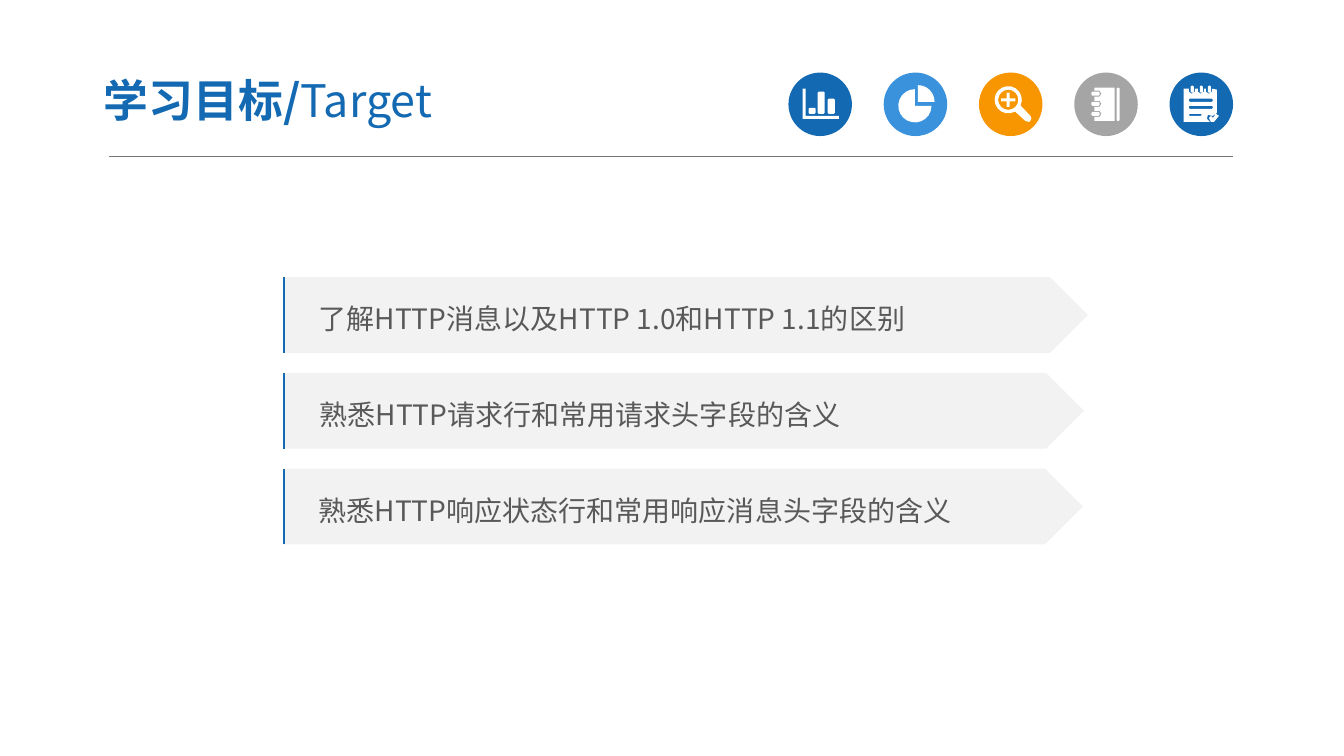
from math import cos, radians, sin

from lxml import etree
from pptx import Presentation
from pptx import util as u
from pptx.dml.color import RGBColor
from pptx.enum import shapes, text
from pptx.oxml.ns import qn

HUES = {"blue": "1369B2", "sky": "3992DB", "gold": "F79600", "gray": "A5A5A5",
        "rule": "767676", "bar": "F2F2F2", "ink": "595959", "white": "FFFFFF"}
FONT = "Noto Sans CJK SC"
KIND = shapes.MSO_SHAPE
DISC = 0.63
FIRST, LAST = 7.82, 11.6

GOALS = [("了解HTTP消息以及HTTP 1.0和HTTP 1.1的区别", 2.81, 7.98),
         ("熟悉HTTP请求行和常用请求头字段的含义", 2.82, 7.93),
         ("熟悉HTTP响应状态行和常用响应消息头字段的含义", 2.81, 7.93)]


# Icon outlines, in inches from the corner of the disc
def pill(x, y, w, h, cut=0.01):
    r, b = x + w, y + h
    return [(x + cut, y), (r - cut, y), (r, y + cut), (r, b - cut),
            (r - cut, b), (x + cut, b), (x, b - cut), (x, y + cut)]


def arc(cx, cy, rad, start, end, steps=16):
    turns = [radians(start + (end - start) * i / steps) for i in range(steps + 1)]
    return [(cx + rad * cos(t), cy + rad * sin(t)) for t in turns]


def chart_icon():
    axes = [(0.14, 0.16), (0.17, 0.16), (0.17, 0.43), (0.5, 0.43),
            (0.5, 0.46), (0.14, 0.46)]
    return [axes, pill(0.2, 0.35, 0.07, 0.06), pill(0.29, 0.19, 0.07, 0.22),
            pill(0.39, 0.26, 0.07, 0.15)]


def pie_icon():
    return [[(0.31, 0.33)] + arc(0.31, 0.33, 0.165, 0, 270),
            [(0.34, 0.29)] + arc(0.34, 0.29, 0.165, -90, 0, 6)]


def lens_icon():
    grip = [(0.51, 0.43), (0.52, 0.46), (0.5, 0.49), (0.46, 0.48)]
    x, y, far, near = 0.29, 0.27, 0.07, 0.015
    plus = [(-near, -far), (near, -far), (near, -near), (far, -near),
            (far, near), (near, near), (near, far), (-near, far),
            (-near, near), (-far, near), (-far, -near), (-near, -near)]
    return [arc(x, y, 0.135, 60, 385) + grip, arc(x, y, 0.1, 0, 360),
            [(x + dx, y + dy) for dx, dy in plus]]


def book_icon():
    cover, rings = [(0.4, 0.48), (0.4, 0.15), (0.2, 0.15)], []
    for y in (0.21, 0.31, 0.41):
        cover += [(0.2, y - 0.03), (0.25, y - 0.03), (0.27, y),
                  (0.25, y + 0.03), (0.2, y + 0.03)]
        rings.append(pill(0.17, y - 0.02, 0.08, 0.04))
    return [cover + [(0.2, 0.48)], pill(0.42, 0.15, 0.03, 0.33)] + rings


def pad_icon():
    sheet, rings = [(0.14, 0.16)], []
    for x in (0.22, 0.31, 0.39):
        sheet += [(x - 0.03, 0.16), (x - 0.03, 0.19), (x, 0.21),
                  (x + 0.03, 0.19), (x + 0.03, 0.16)]
        rings.append(pill(x - 0.01, 0.13, 0.03, 0.07))
    sheet += [(0.47, 0.17), (0.47, 0.4), (0.43, 0.43), (0.38, 0.42),
              (0.37, 0.46), (0.4, 0.49), (0.14, 0.49)]
    rows = [pill(0.19, 0.26, 0.24, 0.03), pill(0.19, 0.33, 0.24, 0.03),
            pill(0.19, 0.41, 0.13, 0.02)]
    tick = [(0.39, 0.45), (0.41, 0.43), (0.43, 0.45), (0.46, 0.41),
            (0.49, 0.43), (0.44, 0.49), (0.41, 0.49)]
    return [sheet, tick] + rings + rows


ICONS = [("blue", chart_icon), ("sky", pie_icon), ("gold", lens_icon),
         ("gray", book_icon), ("blue", pad_icon)]


def hue(name):
    return RGBColor.from_string(HUES[name])


def paint(form, fill):
    form.shadow.inherit = False
    form.fill.solid()
    form.fill.fore_color.rgb = hue(fill)
    form.line.fill.background()


def add_form(slide, kind, x, y, w, h, fill):
    form = slide.shapes.add_shape(kind, *map(u.Inches, (x, y, w, h)))
    paint(form, fill)
    return form


def add_path(slide, x, y, loops, close=True):
    loops = [[(u.Inches(x + dx), u.Inches(y + dy)) for dx, dy in loop]
             for loop in loops]
    pen = slide.shapes.build_freeform(*loops[0][0])
    for i, loop in enumerate(loops):
        if i:
            pen.move_to(*loop[0])
        pen.add_line_segments(loop[1:], close=close)
    return pen.convert_to_shape()


def add_rule(slide, x1, x2, y):
    rule = slide.shapes.add_connector(shapes.MSO_CONNECTOR.STRAIGHT,
                                      *map(u.Inches, (x1, y, x2, y)))
    rule.line.color.rgb = hue("rule")
    rule.line.width = u.Pt(0.5)
    etree.SubElement(rule._element.spPr, qn("a:effectLst"))


def style_run(run, size, color, bold=False):
    font = run.font
    font.size, font.bold, font.name = u.Pt(size), bold, FONT
    font.color.rgb = hue(color)
    east = etree.SubElement(run._r.get_or_add_rPr(), qn("a:ea"))
    east.set("typeface", FONT)


def set_frame(frame, left, top, right, bottom):
    frame.word_wrap = True
    frame.auto_size = text.MSO_AUTO_SIZE.NONE
    frame.vertical_anchor = text.MSO_ANCHOR.MIDDLE
    frame.margin_left, frame.margin_right = u.Inches(left), u.Inches(right)
    frame.margin_top, frame.margin_bottom = u.Inches(top), u.Inches(bottom)


def add_title(slide, x, y, w, h):
    title = slide.shapes.title
    title.left, title.top, title.width, title.height = map(u.Inches, (x, y, w, h))
    frame = title.text_frame
    set_frame(frame, 0.14, 0.07, 0.13, 0.07)
    frame.text = "学习目标/"
    para = frame.paragraphs[0]
    para.alignment = text.PP_ALIGN.LEFT
    para.line_spacing = 1.0
    para.add_run().text = "Target"
    for run, bold in zip(para.runs, (True, False)):
        style_run(run, 32, "blue", bold)


def add_icon(slide, x, y, color, loops):
    add_form(slide, KIND.OVAL, x, y, DISC, DISC, color)
    paint(add_path(slide, x, y, loops), "white")


def add_goal(slide, x, y, w, h, words):
    bar = add_form(slide, KIND.PENTAGON, x, y, w, h, "bar")
    frame = bar.text_frame
    set_frame(frame, 0.35, 0.05, 0.1, 0.05)
    frame.text = words
    para = frame.paragraphs[0]
    para.alignment = text.PP_ALIGN.LEFT
    para.line_spacing = 1.2
    style_run(para.runs[0], 20, "ink")
    edge = add_path(slide, 2.82, y, [[(0, h), (0, 0)]], close=False)
    edge.shadow.inherit = False
    edge.fill.background()
    edge.line.color.rgb = hue("blue")
    edge.line.width = u.Pt(1.5)


def main():
    deck = Presentation()
    deck.slide_width, deck.slide_height = u.Inches(13.33), u.Inches(7.5)
    slide = deck.slides.add_slide(deck.slide_layouts[5])

    # Header: title, rule and icon row
    add_title(slide, 0.89, 0.63, 5.22, 0.72)
    add_rule(slide, 1.08, 12.23, 1.55)
    step = (LAST - FIRST) / (len(ICONS) - 1)
    for i, (color, draw) in enumerate(ICONS):
        add_icon(slide, FIRST + step * i, 0.72, color, draw())

    # Learning goals
    for i, (words, x, w) in enumerate(GOALS):
        add_goal(slide, x, 2.75 + 0.95 * i, w, 0.75, words)

    deck.save("out.pptx")


if __name__ == "__main__":
    main()
